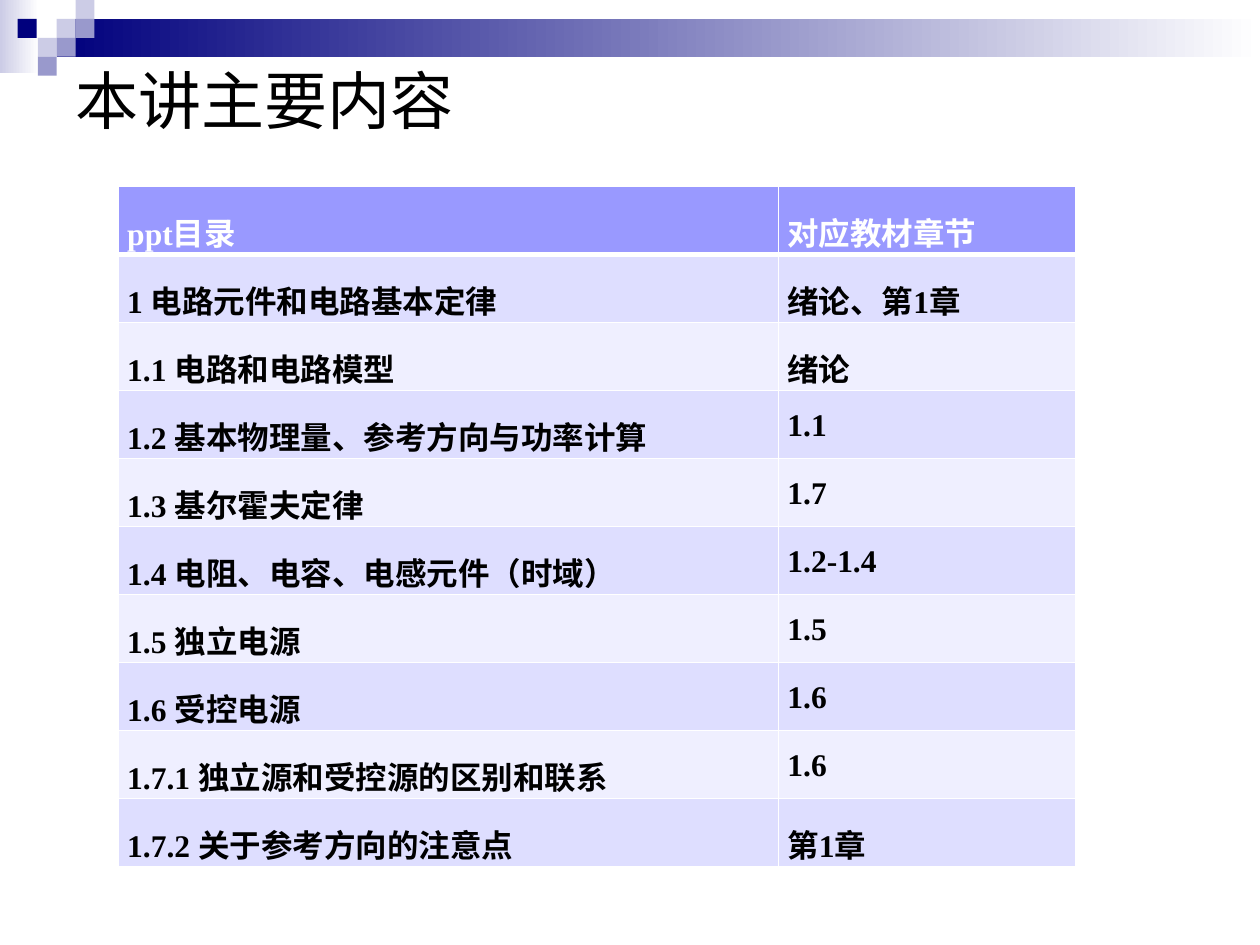
import pptx
import pptx.util
import pptx.dml.color
import pptx.enum.shapes
import pptx.enum.text
import pptx.oxml.ns
from lxml import etree

Inches, Pt = pptx.util.Inches, pptx.util.Pt
RGB = pptx.dml.color.RGBColor.from_string
qn = pptx.oxml.ns.qn
RECT = pptx.enum.shapes.MSO_SHAPE.RECTANGLE
ANCHOR = pptx.enum.text.MSO_ANCHOR
ALIGN = pptx.enum.text.PP_ALIGN

THEME = {
    "white": "FFFFFF", "black": "000000", "navy": "00007D",
    "pale": "CCCCE6", "mid": "9999CC",
    "header": "9999FF", "bands": ("DEDEFF", "EFEFFF"),
    "latin": "Times New Roman", "cjk": "Noto Sans CJK SC",
    "title_size": 36, "table_size": 18,
}


def write(tf, text, size, color, font, bold=False, align=ALIGN.LEFT, spacing=1.0):
    p = tf.paragraphs[0]
    p.alignment = align
    p.line_spacing = spacing
    r = p.add_run()
    r.text = text
    r.font.size = Pt(size)
    r.font.bold = bold
    r.font.name = font
    r.font.color.rgb = RGB(color)
    ea = etree.SubElement(r.font._element, qn("a:ea"))
    ea.set("typeface", THEME["cjk"])


def add_rect(s, x, y, w, h, color, fade_to=None):
    sp = s.shapes.add_shape(RECT, Inches(x), Inches(y), Inches(w), Inches(h))
    sp.shadow.inherit = False
    sp.line.fill.background()
    if fade_to:
        sp.fill.gradient()
        sp.fill.gradient_angle = 0
        for stop, value, position in zip(sp.fill.gradient_stops, (color, fade_to), (0, 1)):
            stop.color.rgb = RGB(value)
            stop.position = position
    else:
        sp.fill.solid()
        sp.fill.fore_color.rgb = RGB(color)


prs = pptx.Presentation()
prs.slide_width, prs.slide_height = Inches(10), Inches(7.5)
s = prs.slides.add_slide(prs.slide_layouts[6])

# Fading bands along the top
add_rect(s, 0, 0, 0.31, 0.58, THEME["pale"], THEME["white"])
add_rect(s, 0.45, 0.15, 9.55, 0.3, THEME["navy"], THEME["white"])

# Mosaic of small squares
SIDE = 0.15
squares = [
    (0.45, 0.15, "pale"), (0.6, 0, "pale"), (0.6, 0.15, "mid"),
    (0.3, 0.3, "pale"), (0.14, 0.15, "navy"),
    (0.45, 0.3, "mid"), (0.3, 0.45, "mid"),
]
for x, y, color in squares:
    add_rect(s, x, y, SIDE, SIDE, THEME[color])

# Title
tf = s.shapes.add_textbox(Inches(0.5), Inches(0.5), Inches(9), Inches(0.58)).text_frame
tf.word_wrap = True
tf.vertical_anchor = ANCHOR.MIDDLE
write(tf, "本讲主要内容", THEME["title_size"], THEME["black"], THEME["cjk"])

# Contents table
contents = [
    ("ppt目录", "对应教材章节"),
    ("1 电路元件和电路基本定律", "绪论、第1章"),
    ("1.1 电路和电路模型", "绪论"),
    ("1.2 基本物理量、参考方向与功率计算", "1.1"),
    ("1.3 基尔霍夫定律", "1.7"),
    ("1.4 电阻、电容、电感元件（时域）", "1.2-1.4"),
    ("1.5 独立电源", "1.5"),
    ("1.6 受控电源", "1.6"),
    ("1.7.1 独立源和受控源的区别和联系", "1.6"),
    ("1.7.2 关于参考方向的注意点", "第1章"),
]
ROW_HEIGHT = 0.54
table = s.shapes.add_table(len(contents), 2, Inches(0.94), Inches(1.48),
                           Inches(7.6), Inches(ROW_HEIGHT * len(contents))).table
for column, width in zip(table.columns, (5.24, 2.36)):
    column.width = Inches(width)

for i, entries in enumerate(contents):
    table.rows[i].height = Inches(ROW_HEIGHT)
    fill = THEME["bands"][(i - 1) % 2] if i else THEME["header"]
    color = THEME["black"] if i else THEME["white"]
    for j, text in enumerate(entries):
        cell = table.cell(i, j)
        cell.margin_left = cell.margin_right = Inches(0.07)
        cell.margin_top = cell.margin_bottom = 0
        cell.vertical_anchor = ANCHOR.TOP
        write(cell.text_frame, text, THEME["table_size"], color, THEME["latin"],
              bold=True, align=ALIGN.JUSTIFY, spacing=1.5)

        # White borders, thicker under the header
        widths = {"lnL": 1, "lnR": 1, "lnT": 3 if i == 1 else 1, "lnB": 1 if i else 3}
        tcPr = cell._tc.get_or_add_tcPr()
        for side, width in widths.items():
            ln = etree.SubElement(tcPr, qn("a:" + side), w=str(Pt(width)))
            solid = etree.SubElement(ln, qn("a:solidFill"))
            etree.SubElement(solid, qn("a:srgbClr"), val=THEME["white"])
        cell.fill.solid()
        cell.fill.fore_color.rgb = RGB(fill)
        tcPr.append(tcPr.find(qn("a:solidFill")))

prs.save("out.pptx")
